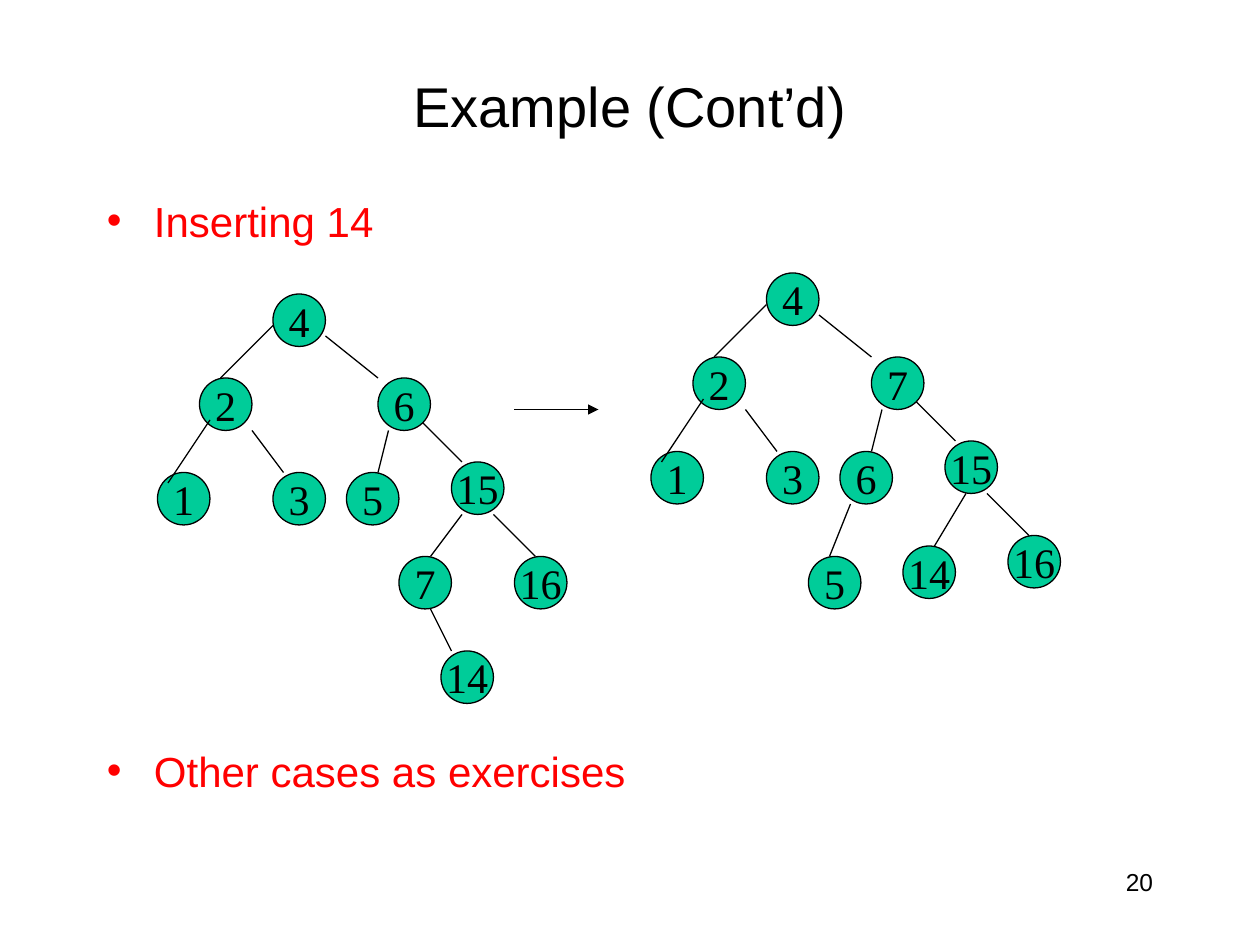
import pptx
import pptx.util
import pptx.dml.color
import pptx.enum.shapes
import pptx.enum.text
import pptx.oxml
import pptx.oxml.ns
from lxml import etree

Cm = pptx.util.Cm
Pt = pptx.util.Pt
ALIGN = pptx.enum.text.PP_ALIGN
ANCHOR = pptx.enum.text.MSO_ANCHOR
qn = pptx.oxml.ns.qn

COLORS = {"text": "000000", "accent": "FF0000", "node": "00CC99", "line": "000000"}
UNIT = 2.54 / 12
NODE_SIZE = 5
LINE_WIDTH = Pt(0.75)


def write_text(shape, text, size=24, font="Arial", color="text", align=ALIGN.LEFT,
               anchor=ANCHOR.TOP, wrap=True, space_before=0, bullet=False, new=False):
    frame = shape.text_frame
    frame.word_wrap = wrap
    frame.vertical_anchor = anchor
    paragraph = frame.add_paragraph() if new else frame.paragraphs[0]
    paragraph.alignment = align
    paragraph.space_before = Pt(space_before)
    run = paragraph.add_run()
    run.text = text
    run.font.size = Pt(size)
    run.font.name = font
    run.font.color.rgb = pptx.dml.color.RGBColor.from_string(COLORS[color])
    if bullet:
        properties = paragraph._p.get_or_add_pPr()
        properties.set("marL", str(Cm(0.95)))
        properties.set("indent", str(-Cm(0.95)))
        bullet_color = etree.SubElement(properties, qn("a:buClr"))
        etree.SubElement(bullet_color, qn("a:srgbClr"), val=COLORS[color])
        etree.SubElement(properties, qn("a:buFont"), typeface=font)
        etree.SubElement(properties, qn("a:buChar"), char="•")


def draw_line(x1, y1, x2, y2, arrow=False):
    connector = slide.shapes.add_connector(
        pptx.enum.shapes.MSO_CONNECTOR.STRAIGHT,
        *(Cm(UNIT * value) for value in (x1, y1, x2, y2)))
    connector.line.width = LINE_WIDTH
    connector.line.color.rgb = pptx.dml.color.RGBColor.from_string(COLORS["line"])
    if arrow:
        etree.SubElement(connector.line._get_or_add_ln(), qn("a:tailEnd"), type="triangle")
    etree.SubElement(connector._element.spPr, qn("a:effectLst"))


presentation = pptx.Presentation()
presentation.slide_width = Cm(25.4)
presentation.slide_height = Cm(19.05)
slide = presentation.slides.add_slide(presentation.slide_layouts[6])

text_boxes = {}
for name, box in {
    "number": (86, 82, 25, 6),
    "title": (9, 5, 102, 10),
    "body": (9, 18, 102, 62),
}.items():
    text_boxes[name] = slide.shapes.add_textbox(*(Cm(UNIT * value) for value in box))

write_text(text_boxes["number"], "20", size=14, align=ALIGN.RIGHT)
write_text(text_boxes["title"], "Example (Cont’d)", size=32, align=ALIGN.CENTER,
           anchor=ANCHOR.MIDDLE)
write_text(text_boxes["body"], "Inserting 14", color="accent", space_before=6, bullet=True)
write_text(text_boxes["body"], "Other cases as exercises", color="accent",
           space_before=285.5, bullet=True, new=True)

shared_positions = [(26, 45), (19, 36), (15, 45), (26, 28), (36, 36), (43, 44), (33, 45)]
shared_edges = [
    (26, 31, 21, 36), (31, 32, 36, 36), (40, 40, 44, 44),
    (20, 40, 16, 46), (24, 41, 27, 45), (37, 41, 36, 45),
]
trees = [
    {
        "shift": (0, 0),
        "labels": [3, 2, 1, 4, 6, 15, 5],
        "lower_nodes": [(16, 49, 53), (7, 38, 53), (14, 42, 62)],
        "lower_edges": [(47, 49, 51, 53), (44, 49, 41, 53), (41, 58, 43, 62)],
    },
    {
        "shift": (47, -2),
        "labels": [3, 2, 1, 4, 7, 15, 6],
        "lower_nodes": [(16, 96, 51), (5, 77, 53), (14, 86, 52)],
        "lower_edges": [(94, 47, 98, 51), (81, 48, 79, 53), (92, 47, 89, 52)],
    },
]

for tree in trees:
    shift_x, shift_y = tree["shift"]
    nodes = [(label, x + shift_x, y + shift_y)
             for label, (x, y) in zip(tree["labels"], shared_positions)]
    nodes += tree["lower_nodes"]
    edges = [(x1 + shift_x, y1 + shift_y, x2 + shift_x, y2 + shift_y)
             for x1, y1, x2, y2 in shared_edges]
    edges += tree["lower_edges"]

    for index, (label, x, y) in enumerate(nodes):
        if index == 3:
            for edge in edges:
                draw_line(*edge)
        node = slide.shapes.add_shape(
            pptx.enum.shapes.MSO_SHAPE.OVAL,
            *(Cm(UNIT * value) for value in (x, y, NODE_SIZE, NODE_SIZE)))
        node.shadow.inherit = False
        node.fill.solid()
        node.fill.fore_color.rgb = pptx.dml.color.RGBColor.from_string(COLORS["node"])
        node.line.color.rgb = pptx.dml.color.RGBColor.from_string(COLORS["line"])
        node.line.width = LINE_WIDTH
        write_text(node, str(label), font="Times New Roman", align=ALIGN.CENTER,
                   anchor=ANCHOR.MIDDLE, wrap=False)

draw_line(49, 39, 57, 39, arrow=True)

presentation.save("out.pptx")
